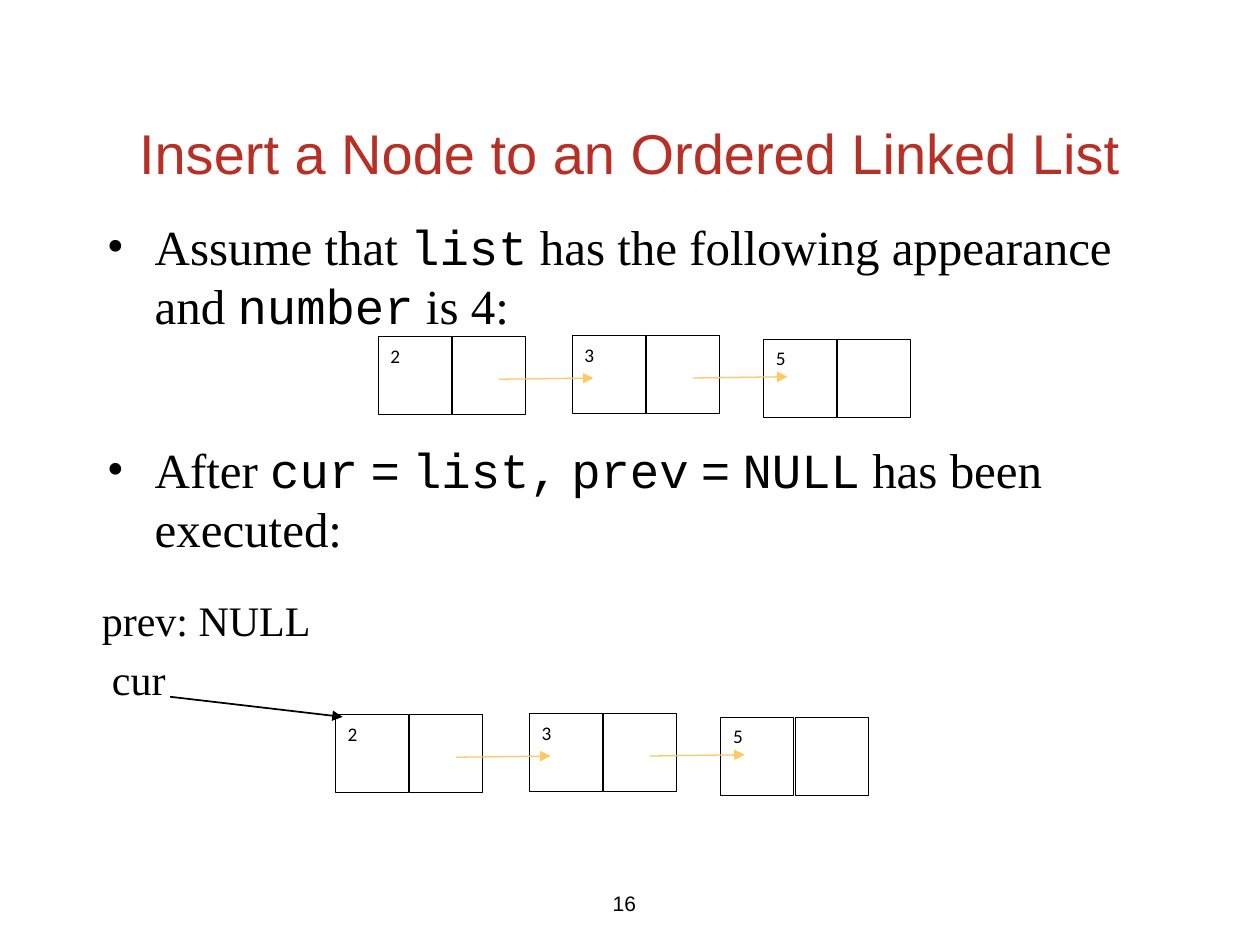
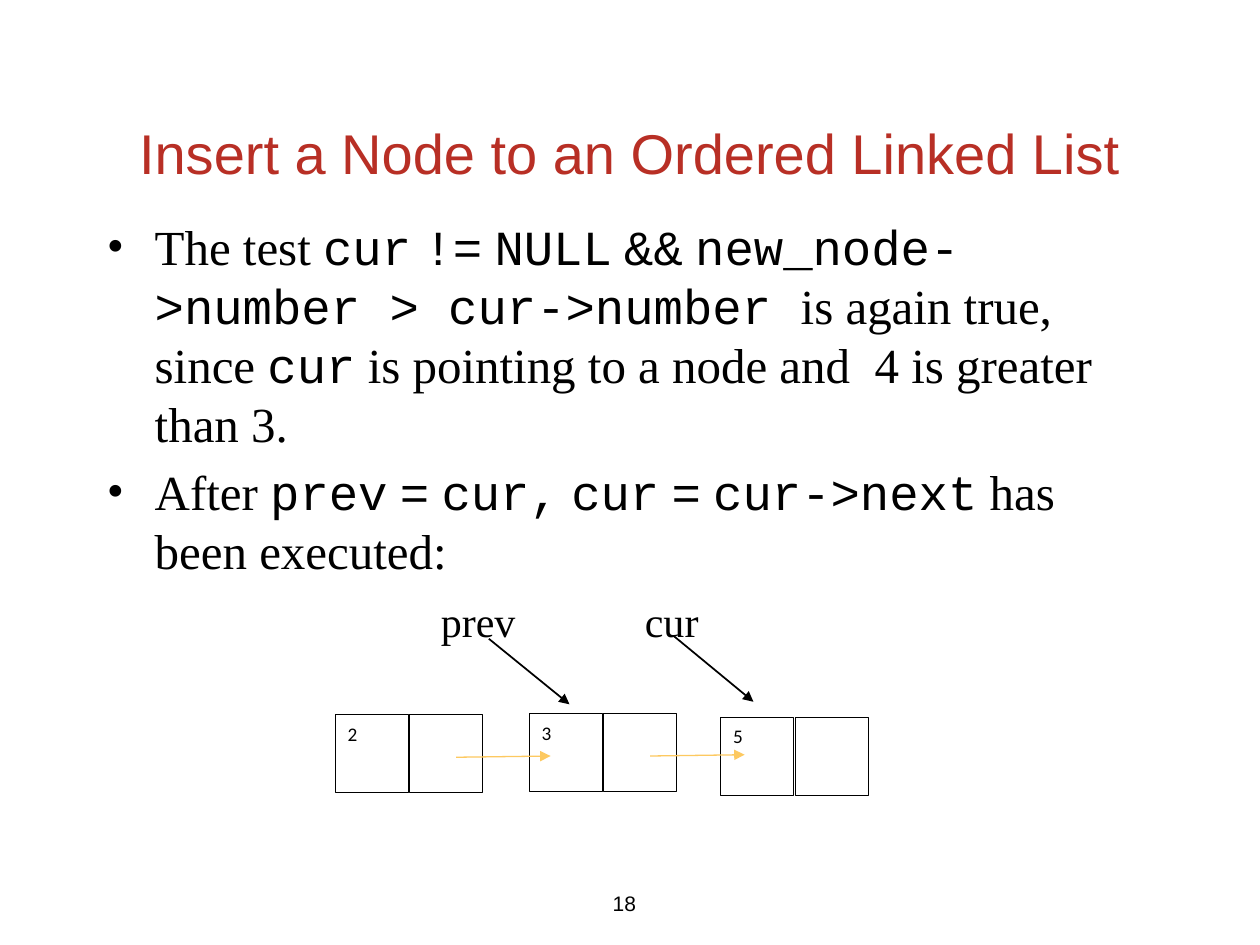
"""Build two slides on inserting a node into an ordered linked list."""
from lxml.etree import SubElement
from pptx import Presentation
from pptx.dml.color import RGBColor
from pptx.enum.shapes import MSO_CONNECTOR, MSO_SHAPE
from pptx.enum.text import MSO_ANCHOR, PP_ALIGN
from pptx.oxml.ns import qn
from pptx.util import Inches, Pt

RED = RGBColor(0xB8, 0x2F, 0x25)
BLACK = RGBColor(0, 0, 0)
WHITE = RGBColor(0xFF, 0xFF, 0xFF)
YELLOW = RGBColor(0xFD, 0xC9, 0x60)
SERIF, SANS, CODE, NODE_FONT = "Times New Roman", "Arial", "Courier New", "Calibri"

TITLE = "Insert a Node to an Ordered Linked List"
NODES = [("2", 0, 0.01), ("3", 1.54, 0), ("5", 3.06, 0.03)]
CELL_WIDTH, CELL_HEIGHT, CELL_STEP = 0.58, 0.62, 0.59

SLIDES = [
    {
        "number": "16",
        "bullets": [
            ("Assume that `list` has the following appearance and `number` is 4:", 5.6),
            ("After `cur` `=` `list,` `prev` `=` `NULL` has been executed:", 60),
        ],
        "lists": [(3, 2.66), (2.66, 5.66)],
        "labels": [("prev: NULL", 0.71, 4.67, 1.87), ("cur", 0.79, 5.14, 0.63)],
        "pointers": [(1.35, 5.53, 2.72, 5.69)],
    },
    {
        "number": "18",
        "bullets": [
            ("The test `cur` `!=` `NULL` `&&` `new_node->number > cur->number ` is again true, "
             "since `cur` is pointing to a node and  4 is greater than 3.".replace("` is again", "`is again"), 5.6),
            ("After `prev` `=` `cur,` `cur` `=` `cur->next` has been executed:", 5.6),
        ],
        "lists": [(2.66, 5.66)],
        "labels": [("prev", 3.4, 4.68, 0.8), ("cur", 5.02, 4.68, 0.63)],
        "pointers": [(5.35, 5.05, 5.98, 5.57), (3.88, 5.07, 4.52, 5.59)],
    },
]
SLIDES[1]["bullets"][0] = (
    "The test `cur` `!=` `NULL` `&&` `new_node->number > cur->number `is again true, "
    "since `cur` is pointing to a node and  4 is greater than 3.", 5.6)


def write(shape, text, font, size, color, align=PP_ALIGN.LEFT, anchor=MSO_ANCHOR.TOP):
    """Put one line of formatted text into a shape."""
    shape.text_frame.text = text
    shape.text_frame.vertical_anchor = anchor
    para = shape.text_frame.paragraphs[0]
    para.alignment = align
    para.font.name, para.font.size, para.font.color.rgb = font, Pt(size), color
    return para


def add_arrow(page, ends, color, width):
    """Draw a straight arrow between two points given in inches."""
    arrow = page.shapes.add_connector(MSO_CONNECTOR.STRAIGHT, *map(Inches, ends))
    arrow.line.color.rgb = color
    arrow.line.width = Pt(width)
    SubElement(arrow.line._get_or_add_ln(), qn("a:tailEnd"), type="triangle")
    SubElement(arrow._element.spPr, qn("a:effectLst"))


deck = Presentation()
deck.slide_width, deck.slide_height = Inches(10), Inches(7.5)

for content in SLIDES:
    page = deck.slides.add_slide(deck.slide_layouts[5])
    title = page.shapes.title
    title.left, title.top = Inches(0.75), Inches(0.83)
    title.width, title.height = Inches(8.5), Inches(0.75)
    write(title, TITLE, SANS, 32, RED, PP_ALIGN.CENTER, MSO_ANCHOR.MIDDLE)

    body = page.shapes.add_textbox(Inches(0.75), Inches(1.67), Inches(8.5), Inches(5.25))
    frame = body.text_frame
    frame.word_wrap = True
    for index, (text, space_before) in enumerate(content["bullets"]):
        para = frame.add_paragraph() if index else frame.paragraphs[0]
        para.space_before = Pt(space_before)
        properties = para._p.get_or_add_pPr()
        properties.set("marL", str(Inches(0.38)))
        properties.set("indent", str(-Inches(0.38)))
        SubElement(properties, qn("a:buFont"), typeface=SERIF)
        SubElement(properties, qn("a:buChar"), char="•")
        para.font.size, para.font.color.rgb = Pt(28), BLACK
        for position, part in enumerate(text.split("`")):
            span = para.add_run()
            span.text = part
            span.font.name = CODE if position % 2 else SERIF

    footer = page.shapes.add_textbox(Inches(4.58), Inches(7), Inches(0.75), Inches(0.33))
    write(footer, content["number"], SANS, 12, BLACK, PP_ALIGN.CENTER, MSO_ANCHOR.MIDDLE)

    for list_left, list_top in content["lists"]:
        for value, shift, drop in reversed(NODES):
            left, top = list_left + shift, list_top + drop
            for column, text in enumerate([value, ""]):
                cell = page.shapes.add_shape(
                    MSO_SHAPE.RECTANGLE, Inches(left + column * CELL_STEP), Inches(top),
                    Inches(CELL_WIDTH), Inches(CELL_HEIGHT))
                cell.shadow.inherit = False
                cell.fill.solid()
                cell.fill.fore_color.rgb = WHITE
                cell.line.color.rgb = BLACK
                cell.line.width = Pt(0.5)
                if text:
                    para = write(cell, text, NODE_FONT, 11, BLACK)
                    para.line_spacing, para.space_after = 1.07, Pt(8)
            if value != NODES[-1][0]:
                add_arrow(page, (left + 0.96, top + 0.34, left + 1.71, top + 0.33), YELLOW, 0.75)

    for text, left, top, width in content["labels"]:
        label = page.shapes.add_textbox(Inches(left), Inches(top), Inches(width), Inches(0.5))
        write(label, text, SERIF, 24, BLACK)
    for ends in content["pointers"]:
        add_arrow(page, ends, BLACK, 1)

deck.save("out.pptx")
